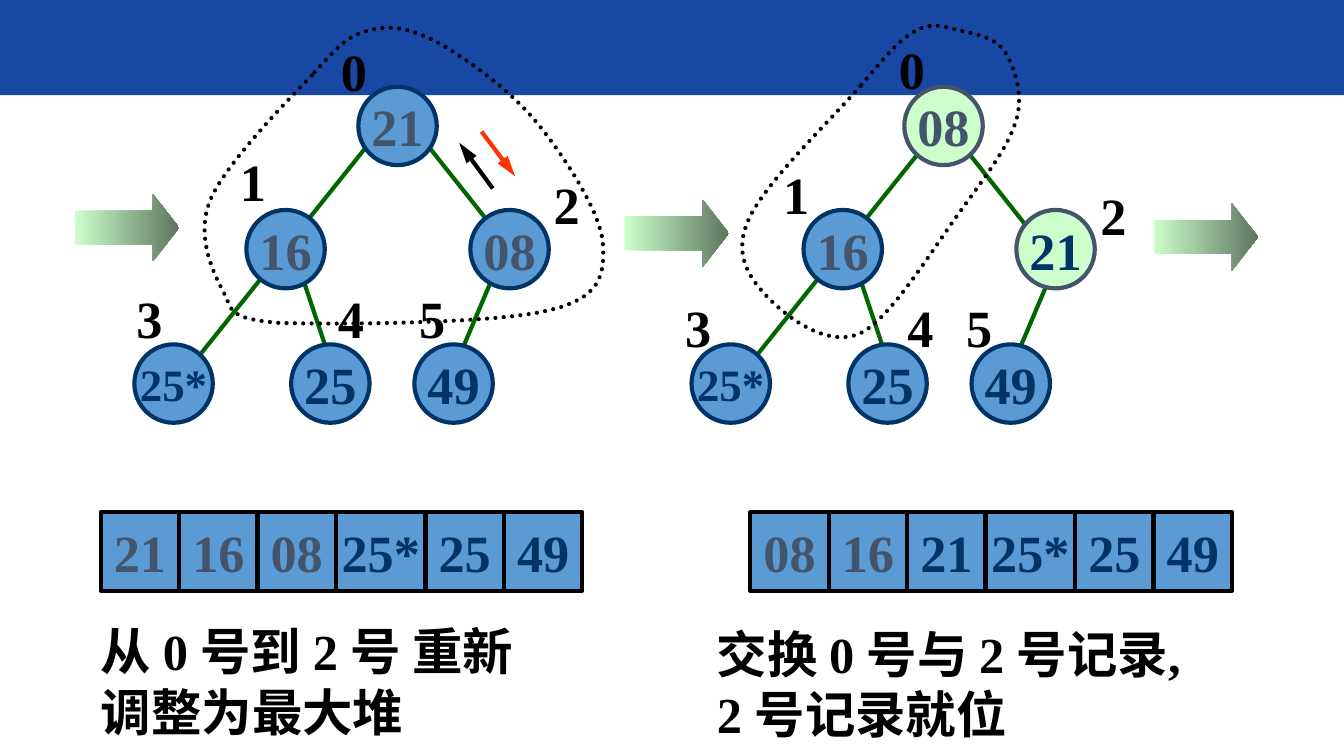
from pptx import Presentation
from pptx.dml.color import RGBColor
from pptx.enum.dml import MSO_LINE
from pptx.enum.shapes import MSO_CONNECTOR, MSO_SHAPE
from pptx.enum.text import MSO_ANCHOR, PP_ALIGN
from pptx.oxml.ns import qn
from pptx.util import Pt
from lxml.etree import SubElement

NAVY, SLATE, BLUE, MINT = "003366", "44546A", "5B9BD5", "CCFFCC"
GREEN, BLACK, RED = "006600", "000000", "FF3300"
FONT = "Times New Roman"
SIDE, WEIGHT = 42, 2.25
WIDTHS = [42, 42, 42, 48, 42, 42]
SHIFT = 298.5


def paint(target, color):
    """Give a fill, a font or a gradient stop one solid colour."""
    if hasattr(target, "solid"):
        target.solid()
        target = target.fore_color
    else:
        target = target.color
    target.rgb = RGBColor.from_string(color)


def write(frame, *lines, size=28, align=PP_ALIGN.LEFT, wrap=False,
          anchor=MSO_ANCHOR.TOP, pitch=None, stops=()):
    """Write lines, each a list of (text, colour) runs, into a text frame."""
    frame.word_wrap = wrap
    frame.vertical_anchor = anchor
    for index, runs in enumerate(lines):
        para = frame.paragraphs[0] if index == 0 else frame.add_paragraph()
        para.alignment = align
        if pitch:
            para.line_spacing = Pt(pitch)
        if stops:
            tabs = SubElement(para._p.get_or_add_pPr(), qn("a:tabLst"))
            for stop in stops:
                SubElement(tabs, qn("a:tab"), pos=str(Pt(stop)), algn="ctr")
        for text, color in runs:
            run = para.add_run()
            run.text = text
            run.font.name, run.font.size, run.font.bold = FONT, Pt(size), True
            paint(run.font, color)


def add_form(slide, kind, x, y, width, height, fill, edge=None):
    """Add a flat preset shape."""
    form = slide.shapes.add_shape(kind, Pt(x), Pt(y), Pt(width), Pt(height))
    form.shadow.inherit = False
    if fill:
        paint(form.fill, fill)
    if edge:
        paint(form.line.fill, edge)
        form.line.width = Pt(WEIGHT)
    else:
        form.line.fill.background()
    return form


def add_line(slide, start, end, color, arrow=False):
    """Add a straight line, with an arrowhead at its end if asked."""
    line = slide.shapes.add_connector(
        MSO_CONNECTOR.STRAIGHT, *[Pt(v) for v in (*start, *end)])
    paint(line.line.fill, color)
    line.line.width = Pt(WEIGHT)
    if arrow:
        SubElement(line.line._get_or_add_ln(), qn("a:tailEnd"),
                   type="triangle", w="med", len="lg")
    SubElement(line._element.spPr, qn("a:effectLst"))


def add_node(slide, text, x, y, color=SLATE, fill=BLUE, edge=NAVY, size=28):
    """Add a round tree node."""
    node = add_form(slide, MSO_SHAPE.OVAL, x, y, SIDE, SIDE, fill, edge)
    write(node.text_frame, [(text, color)], size=size,
          align=PP_ALIGN.CENTER, anchor=MSO_ANCHOR.MIDDLE)


def add_text(slide, x, y, width, height, *lines, **style):
    """Add a text box of black lines."""
    box = slide.shapes.add_textbox(Pt(x), Pt(y), Pt(width), Pt(height))
    write(box.text_frame, *[[(line, BLACK)] for line in lines], **style)


def add_marks(slide, spots):
    """Number the nodes from zero."""
    for index, (x, y) in enumerate(spots):
        add_text(slide, x, y, 28, 41, str(index))


def add_list(slide, x, y, grey, navy):
    """Add the heap array as one bar with dividers."""
    bar = add_form(slide, MSO_SHAPE.RECTANGLE, x, y, sum(WIDTHS), SIDE, BLUE, BLACK)
    frame = bar.text_frame
    frame.margin_left = frame.margin_right = 0
    ends = [sum(WIDTHS[:i + 1]) for i in range(len(WIDTHS))]
    runs = [("".join("\t" + key for key in keys), color)
            for keys, color in ((grey, SLATE), (navy, NAVY))]
    write(frame, runs, wrap=True, anchor=MSO_ANCHOR.MIDDLE,
          stops=[end - width / 2 for end, width in zip(ends, WIDTHS)])
    for end in ends[:-1]:
        add_line(slide, (x + end, y), (x + end, y + SIDE), BLACK)


def add_step(slide, x, y):
    """Add a shaded block arrow."""
    step = add_form(slide, MSO_SHAPE.RIGHT_ARROW, x, y, 56, 36, None)
    step.adjustments[1] = 0.39
    step.fill.gradient()
    step.fill.gradient_angle = 0
    for stop, color, place in zip(step.fill.gradient_stops, (MINT, "5E765E"), (0, 1)):
        paint(stop, color)
        stop.position = place


def bend(loop):
    """Turn each three line segments of an outline into one cubic curve."""
    track = next(loop._element.iter(qn("a:path")))
    legs = track.findall(qn("a:lnTo"))
    for trio in zip(legs[::3], legs[1::3], legs[2::3]):
        curve = SubElement(track, qn("a:cubicBezTo"))
        trio[0].addprevious(curve)
        for leg in trio:
            curve.append(leg[0])
            track.remove(leg)


def add_loop(slide, start, curves):
    """Add a closed dotted loop of cubic curves."""
    pen = slide.shapes.build_freeform(*[Pt(v) for v in start], scale=1.0)
    pen.add_line_segments(
        [(Pt(x), Pt(y)) for curve in curves for x, y in curve], close=True)
    loop = pen.convert_to_shape()
    bend(loop)
    loop.shadow.inherit = False
    loop.fill.background()
    paint(loop.line.fill, BLACK)
    loop.line.width = Pt(WEIGHT)
    loop.line.dash_style = MSO_LINE.ROUND_DOT
    loop.line._get_or_add_ln().set("cap", "rnd")


def add_edges(slide, shift, turn):
    """Add the tree edges; the root's right edge has its own shift."""
    for (x, y), (u, v), move in (
            ((264, 148.5), (246, 191), shift), ((228, 76.5), (276, 137), turn),
            ((162, 148.5), (174, 184.5), shift), ((198, 76.5), (102, 196.5), shift)):
        add_line(slide, (x + move, y), (u + move, v), GREEN)


def add_base(slide, shift):
    """Add the nodes that both trees share."""
    add_node(slide, "16", 132 + shift, 112.5)
    add_node(slide, "25*", 72 + shift, 184.5, NAVY, size=24)
    add_node(slide, "25", 156 + shift, 184.5, NAVY)
    add_node(slide, "49", 222 + shift, 184.5, NAVY)


def main():
    """Build the heap sort slide."""
    deck = Presentation()
    deck.slide_width, deck.slide_height = Pt(720), Pt(405)
    slide = deck.slides.add_slide(deck.slide_layouts[6])
    add_form(slide, MSO_SHAPE.RECTANGLE, 0, 0, 720, 51, "1848A3")
    add_edges(slide, SHIFT, 286.5)
    add_edges(slide, 0, 0)
    add_base(slide, 0)
    add_node(slide, "21", 192, 46.5)
    add_node(slide, "08", 252, 112.5)
    add_marks(slide, [(175.5, 17.5), (121.5, 76.5), (289.5, 88.5),
                      (66, 150), (174, 150), (217.5, 150)])
    add_base(slide, SHIFT)
    add_node(slide, "08", 484.5, 46.5, SLATE, MINT, SLATE)
    add_node(slide, "21", 544.5, 112.5, NAVY, MINT, SLATE)
    add_marks(slide, [(474.5, 16.5), (412.5, 83.5), (582.5, 94.5),
                      (360, 154.5), (479, 154.5), (510.5, 154.5)])
    add_list(slide, 54, 274.5, ["21", "16", "08"], ["25*", "25", "49"])
    add_list(slide, 402, 274.5, ["08", "16"], ["21", "25*", "25", "49"])
    note = {"size": 27, "wrap": True, "pitch": 32.5}
    add_text(slide, 377, 330, 310, 72, "交换 0 号与 2 号记录,", "2 号记录就位", **note)
    add_text(slide, 47, 328.5, 283, 72, "从 0 号到 2 号 重新", "调整为最大堆", **note)
    for x, y in ((40, 104), (334.5, 107), (618, 109)):
        add_step(slide, x, y)
    add_line(slide, (264, 101), (246, 76.5), BLACK, arrow=True)
    add_line(slide, (258, 70.5), (276, 94.5), RED, arrow=True)
    add_loop(slide, (167, 40.5), [
        ((152.5, 55.5), (121, 88), (113, 106.5)), ((105, 125), (113, 143.5), (119, 155)),
        ((125, 165.5), (120, 170.5), (149, 173)), ((178, 174), (264, 173.5), (293, 166.5)),
        ((322, 160), (324, 147.5), (323, 130.5)), ((322, 114), (302, 83), (287, 65)),
        ((272, 47), (248, 30), (233, 22)), ((218, 14.5), (208, 13.5), (197, 16.5)),
        ((186, 19.5), (181, 25), (167, 40.5))])
    add_loop(slide, (461, 46), [
        ((446, 63.5), (408, 99.5), (400.5, 119)), ((392.5, 137.5), (402.5, 150.5), (412.5, 160.5)),
        ((422.5, 170.5), (443.5, 186.5), (461, 178.5)), ((477.5, 170.5), (500.5, 132), (515, 112.5)),
        ((528.5, 93.5), (540.5, 78.5), (544.5, 64)), ((548.5, 50.5), (543.5, 36.5), (538.5, 28)),
        ((533.5, 20), (522.5, 18.5), (515, 16.5)), ((506, 14.5), (499.5, 11.5), (490.5, 16.5)),
        ((481.5, 21.5), (475, 29.5), (461, 46))])
    deck.save("out.pptx")


if __name__ == "__main__":
    main()
